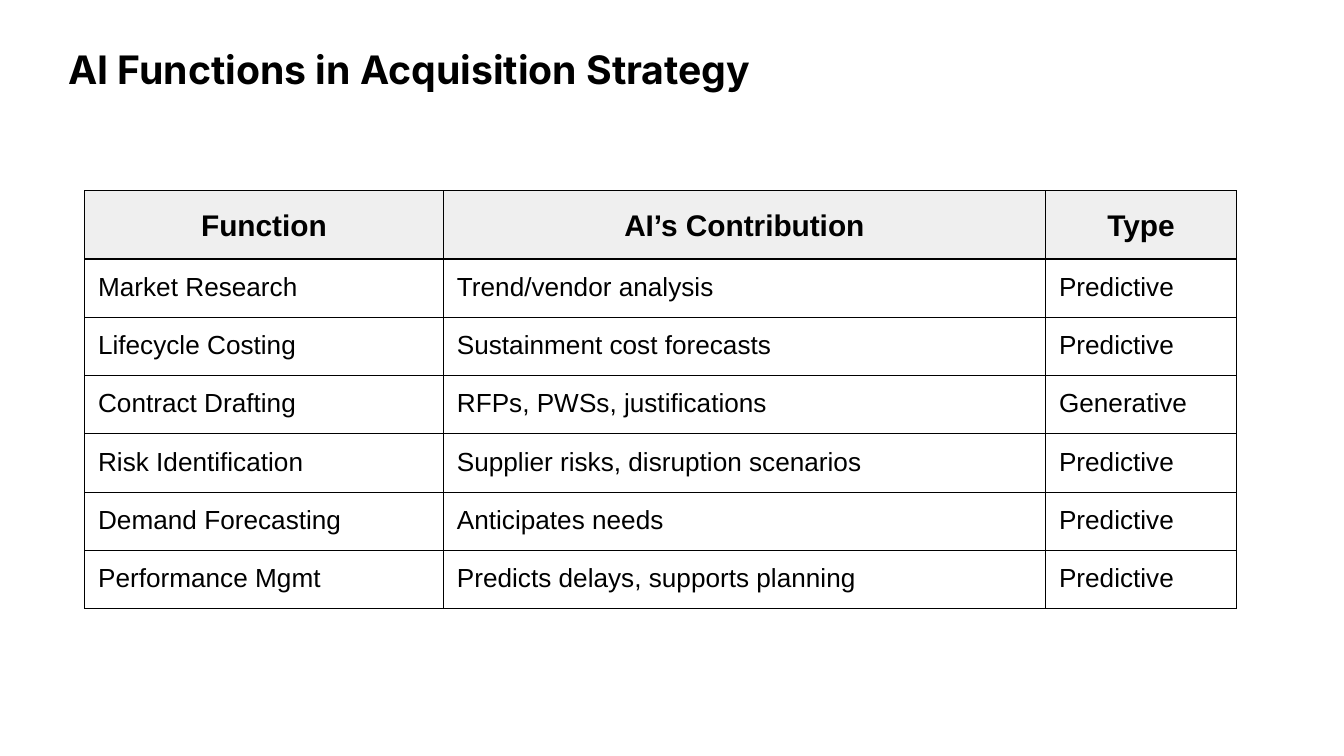
from lxml import etree
from pptx import Presentation
from pptx.dml.color import RGBColor
from pptx.enum.text import MSO_ANCHOR, PP_ALIGN
from pptx.oxml.ns import qn
from pptx.util import Inches, Pt

MIDDLE = MSO_ANCHOR.MIDDLE
TOP = MSO_ANCHOR.TOP
CENTER = PP_ALIGN.CENTER
LEFT = PP_ALIGN.LEFT

COLORS = {"text": "000000", "border": "000000", "head": "EFEFEF"}

ROWS = [
    ("Function", "AI’s Contribution", "Type"),
    ("Market Research", "Trend/vendor analysis", "Predictive"),
    ("Lifecycle Costing", "Sustainment cost forecasts", "Predictive"),
    ("Contract Drafting", "RFPs, PWSs, justifications", "Generative"),
    ("Risk Identification", "Supplier risks, disruption scenarios", "Predictive"),
    ("Demand Forecasting", "Anticipates needs", "Predictive"),
    ("Performance Mgmt", "Predicts delays, supports planning", "Predictive"),
]
WIDTHS = [2.67, 4.48, 1.42]


def style(para, font, size, bold):
    for run in para.runs:
        run.font.name = font
        run.font.size = Pt(size)
        run.font.bold = bold
        run.font.color.rgb = RGBColor.from_string(COLORS["text"])


def border(cell):
    props = cell._tc.get_or_add_tcPr()
    for side in ("a:lnL", "a:lnR", "a:lnT", "a:lnB"):
        line = etree.SubElement(props, qn(side), w=str(Pt(0.75)))
        fill = etree.SubElement(line, qn("a:solidFill"))
        etree.SubElement(fill, qn("a:srgbClr"), val=COLORS["border"])


# Widescreen slide, 16:9
prs = Presentation()
prs.slide_width = Inches(10)
prs.slide_height = Inches(10 * 9 / 16)
slide = prs.slides.add_slide(prs.slide_layouts[6])

# Title
box = slide.shapes.add_textbox(Inches(0.41), Inches(0.29), Inches(7.58), Inches(0.38))
frame = box.text_frame
frame.word_wrap = True
frame.vertical_anchor = MIDDLE
para = frame.paragraphs[0]
para.text = "AI Functions in Acquisition Strategy"
para.line_spacing = 1.2
style(para, "Inter", 21, True)

# Table grid: rows grow to fit their text
grid = slide.shapes.add_table(
    len(ROWS), len(WIDTHS), Inches(0.63), Inches(1.42),
    Inches(sum(WIDTHS)), Inches(3.08))
table = grid.table
table.horz_banding = False
for col, width in zip(table.columns, WIDTHS):
    col.width = Inches(width)
for row in table.rows:
    row.height = Inches(0)
grid.height = Inches(3.08)

# Table cells
for r, texts in enumerate(ROWS):
    head = r == 0
    for c, text in enumerate(texts):
        cell = table.cell(r, c)
        cell.margin_left = cell.margin_right = Inches(0.1)
        cell.margin_top = cell.margin_bottom = Inches(0.1)
        cell.vertical_anchor = TOP
        border(cell)
        if head:
            cell.fill.solid()
            cell.fill.fore_color.rgb = RGBColor.from_string(COLORS["head"])
        else:
            cell.fill.background()
        para = cell.text_frame.paragraphs[0]
        para.text = text
        para.alignment = CENTER if head else LEFT
        para.line_spacing = 1.15 if head else 1.0
        style(para, "Arial", 16 if head else 14, head)

prs.save("out.pptx")
